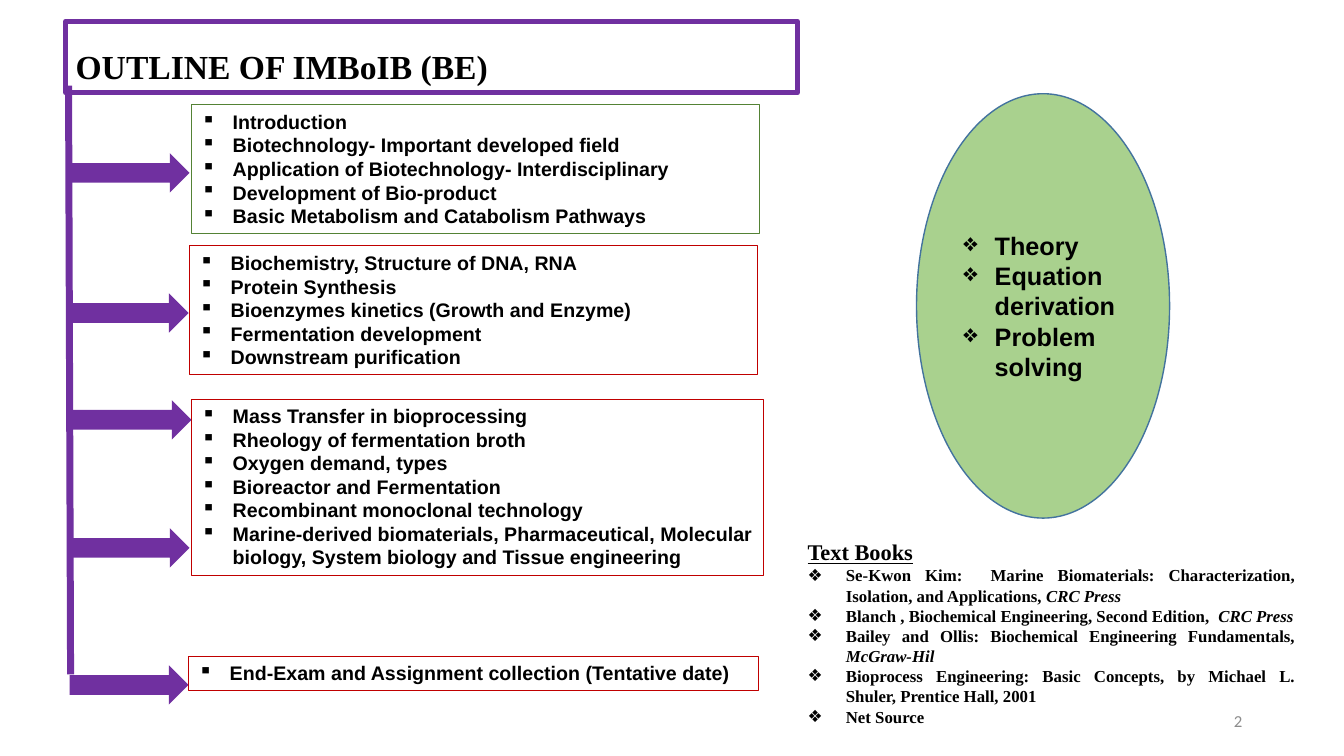
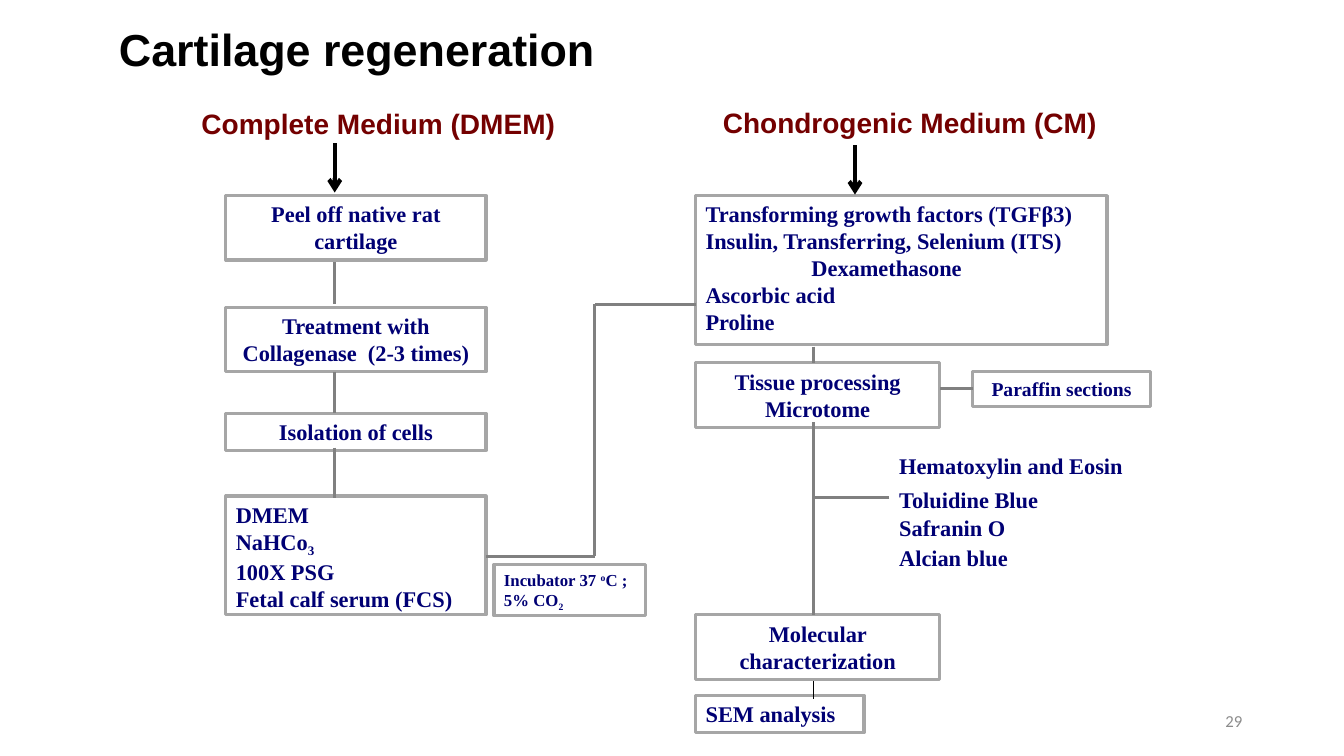
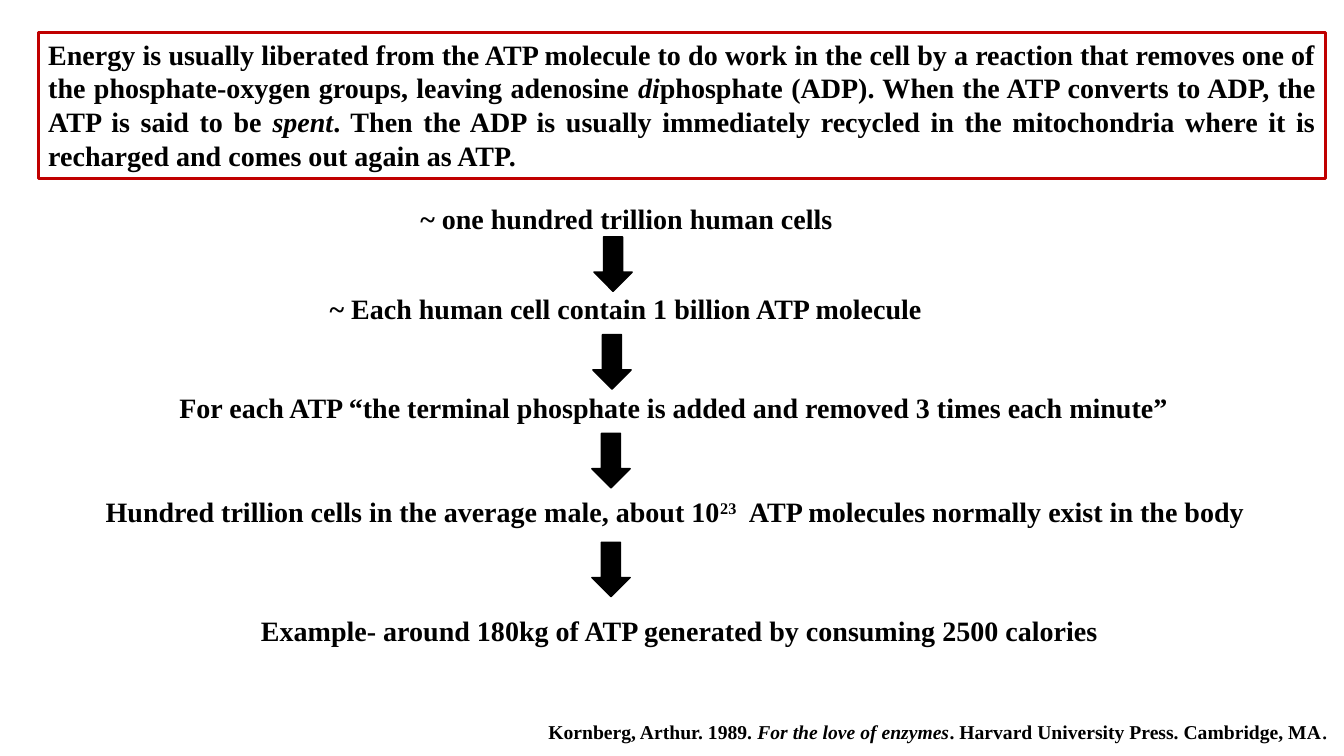
from pptx import Presentation
from pptx.dml.color import RGBColor
from pptx.enum.shapes import MSO_CONNECTOR as Conn, MSO_SHAPE as Shape
from pptx.enum.text import MSO_ANCHOR as Anchor, MSO_AUTO_SIZE as Auto, PP_ALIGN as Align
from pptx.oxml.ns import qn
from pptx.util import Inches, Pt
from lxml.etree import SubElement

# Shared style
SANS, SERIF = "Arial", "Times New Roman"
BLACK, PURPLE, RED, GREEN = "000000", "7030A0", "C00000", "548235"
NAVY, MAROON, SILVER, GRAY, PALE = "000074", "740000", "A6A6A6", "808080", "8C8C8C"
ITALIC, SUPER, SUB = {"italic": True}, {"base": 30}, {"base": -25}

# Outline: top-left, size, border and items of each list
TOPICS = [
    ((1.9, 1.04, 5.63, 1.28), GREEN, [
        "Introduction",
        "Biotechnology- Important developed field",
        "Application of Biotechnology- Interdisciplinary",
        "Development of Bio-product",
        "Basic Metabolism and Catabolism Pathways"]),
    ((1.88, 2.44, 5.63, 1.28), RED, [
        "Biochemistry, Structure of DNA, RNA",
        "Protein Synthesis",
        "Bioenzymes kinetics (Growth and Enzyme)",
        "Fermentation development",
        "Downstream purification"]),
    ((1.9, 3.96, 5.67, 1.75), RED, [
        "Mass Transfer in bioprocessing",
        "Rheology of fermentation broth",
        "Oxygen demand, types",
        "Bioreactor and Fermentation",
        "Recombinant monoclonal technology",
        "Marine-derived biomaterials, Pharmaceutical, Molecular biology, "
        "System biology and Tissue engineering"]),
    ((1.87, 6.51, 5.65, 0.34), RED, [
        "End-Exam and Assignment collection (Tentative date)"]),
]
POINTERS = [(0.7, 1.52), (0.69, 2.91), (0.72, 3.97), (0.7, 5.24), (0.69, 6.6)]
SKILLS = ["Theory", "Equation derivation", "Problem solving"]
BOOKS = [
    ["Se-Kwon Kim:  Marine Biomaterials: Characterization, Isolation, and Applications, ",
     ("CRC Press", ITALIC)],
    ["Blanch , Biochemical Engineering, Second Edition,  ", ("CRC Press", ITALIC)],
    ["Bailey and Ollis: Biochemical Engineering Fundamentals, ", ("McGraw-Hil", ITALIC)],
    "Bioprocess Engineering: Basic Concepts, by Michael L. Shuler, Prentice Hall, 2001",
    "Net Source",
]

# Cartilage: media, process boxes, stains and links
MEDIA = [((1.9, 1.01, 3.83, 0.44), "Complete Medium (DMEM)"),
         ((7.07, 1, 4.01, 0.44), "Chondrogenic Medium (CM)")]
LEFT, RIGHT, WIDE, SLIM = 2.24, 6.9, 2.58, 2.42
CENTRED = [
    ((LEFT, 1.94, WIDE, 0.64), "Peel off native rat cartilage", 16),
    ((LEFT, 3.05, WIDE, 0.64), "Treatment with Collagenase  (2-3 times)", 16),
    ((LEFT, 4.1, WIDE, 0.37), "Isolation of cells", 16),
    ((RIGHT, 3.6, SLIM, 0.64), "Tissue processing Microtome", 16),
    ((9.65, 3.69, 1.76, 0.34), "Paraffin sections", 14),
    ((RIGHT, 6.1, SLIM, 0.64), "Molecular characterization", 16),
]
RECIPES = [
    ((LEFT, 4.92, WIDE, 1.18), 16,
     ["DMEM", ["NaHCo", ("3", SUB)], "100X PSG", "Fetal calf serum (FCS)"]),
    ((4.9, 5.6, 1.5, 0.51), 12,
     [["Incubator 37 ", ("o", SUPER), "C ; 5% CO", ("2", SUB)]]),
    ((RIGHT, 6.9, 1.67, 0.37), 16, ["SEM analysis"]),
]
FACTORS = ["Transforming growth factors (TGFβ3)", "Insulin, Transferring, Selenium (ITS)",
           "Dexamethasone", "Ascorbic acid", "Proline"]
STAINS = [("Hematoxylin and Eosin", 4.44), ("Toluidine Blue", 4.77),
          ("Safranin O", 5.05), ("Alcian blue", 5.35)]
DOWN, SPINE, BEND = 3.32, 8.07, 5.9
LINKS = [
    (DOWN, 2.6, DOWN, 3.02), (DOWN, 3.69, DOWN, 4.1), (DOWN, 4.44, DOWN, 4.94),
    (4.82, 5.52, BEND, 5.52), (BEND, 3.02, BEND, 5.52), (RIGHT, 3.02, BEND, 3.02),
    (SPINE, 3.44, SPINE, 3.6), (SPINE, 4.19, SPINE, 6.1),
    (9.65, 3.85, 9.32, 3.85), (8.82, 4.94, SPINE, 4.94),
]
ENTRIES = [(DOWN, 1.42, DOWN, 1.91), (8.48, 1.44, 8.48, 1.93)]

# Energy: summary, chain of facts and citation
ENERGY = [
    "Energy is usually liberated from the ATP molecule to do work in the cell by a reaction "
    "that removes one of the phosphate-oxygen groups, leaving adenosine ",
    ("di", ITALIC),
    "phosphate (ADP). When the ATP converts to ADP, the ATP is said to be ",
    ("spent", ITALIC),
    ". Then the ADP is usually immediately recycled in the mitochondria where it is "
    "recharged and comes out again as ATP."]
FACTS = [
    ((4.07, 1.95, 4.39, 0.44), "~ one hundred trillion human cells"),
    ((3.17, 2.84, 6.19, 0.44), "~ Each human cell contain 1 billion ATP molecule"),
    ((1.68, 3.83, 10.17, 0.44),
     "For each ATP “the terminal phosphate is added and removed 3 times each minute”"),
    ((0.95, 4.86, 11.63, 0.44),
     ["Hundred trillion cells in the average male, about 10", ("23", SUPER),
      "  ATP molecules normally exist in the body"]),
    ((2.49, 6.04, 8.56, 0.44),
     "Example- around 180kg of ATP generated by consuming 2500 calories"),
]
STEPS = [(5.89, 2.35), (5.88, 3.32), (5.87, 4.3), (5.87, 5.38)]
CITE = ["Kornberg, Arthur. 1989. ", ("For the love of enzymes", ITALIC),
        ". Harvard University Press. Cambridge, MA", (".", {"size": 18, "bold": False})]


def rgb(code):
    return RGBColor.from_string(code)


def indent(par, left, hang=0, mark=None):
    props = par._p.get_or_add_pPr()
    props.set("marL", str(Inches(left)))
    props.set("indent", str(-Inches(hang)))
    if mark:
        SubElement(props, qn("a:buChar")).set("char", mark)
    else:
        SubElement(props, qn("a:buNone"))


def style(run, font=SERIF, size=16, color=BLACK, bold=True, italic=False,
          under=False, base=0):
    face = run.font
    face.name, face.size, face.bold, face.italic = font, Pt(size), bold, italic
    face.color.rgb = rgb(color)
    if under:
        face.underline = True
    if base:
        run._r.get_or_add_rPr().set("baseline", str(base * 1000))


def write(shape, pars, align=Align.LEFT, anchor=Anchor.TOP, mark=None, hang=0.31,
          space=1, **look):
    """Fill a shape with paragraphs; each is a string or a list of runs."""
    frame = shape.text_frame
    frame.word_wrap, frame.auto_size = True, Auto.NONE
    frame.vertical_anchor = anchor
    for i, text in enumerate(pars):
        par = frame.paragraphs[0] if i == 0 else frame.add_paragraph()
        par.alignment, par.line_spacing, par.space_before = align, space, Pt(0)
        indent(par, hang if mark else 0, hang if mark else 0, mark)
        for part in [text] if isinstance(text, str) else text:
            words, extra = (part, {}) if isinstance(part, str) else part
            run = par.add_run()
            run.text = words
            style(run, **{**look, **extra})
    return frame.paragraphs


def place(shape, at):
    shape.left, shape.top, shape.width, shape.height = map(Inches, at)
    return shape


def edge(shape, color, width):
    shape.line.color.rgb = rgb(color)
    shape.line.width = Pt(width)


def draw(slide, kind, at, fill=None, line=None, width=1):
    shape = slide.shapes.add_shape(kind, *map(Inches, at))
    shape.shadow.inherit = False
    if fill:
        shape.fill.solid()
        shape.fill.fore_color.rgb = rgb(fill)
    else:
        shape.fill.background()
    if line:
        edge(shape, line, width)
    else:
        shape.line.fill.background()
    return shape


def panel(slide, at, pars, line, width, **look):
    return write(draw(slide, Shape.RECTANGLE, at, None, line, width), pars, **look)


def label(slide, at, text, **look):
    write(slide.shapes.add_textbox(*map(Inches, at)), [text], **look)


def link(slide, ends, color=GRAY, width=2.25, head=False):
    line = slide.shapes.add_connector(Conn.STRAIGHT, *map(Inches, ends))
    edge(line, color, width)
    if head:
        SubElement(line.line._get_or_add_ln(), qn("a:tailEnd")).set("type", "arrow")
    SubElement(line._element.spPr, qn("a:effectLst"))


def title(slide, at, text, **look):
    shape = place(slide.shapes.title, at)
    write(shape, [text], **look)
    return shape


def number(slide, text):
    label(slide, (9.42, 6.95, 3, 0.4), text, font="Calibri", size=12, color=PALE,
          bold=False, align=Align.RIGHT, anchor=Anchor.MIDDLE)


def outline(deck):
    slide = deck.slides.add_slide(deck.slide_layouts[1])
    head = title(slide, (0.65, 0.21, 7.26, 0.71), "OUTLINE OF IMBoIB (BE)",
                 size=24, space=1.5)
    edge(head, PURPLE, 3.5)
    link(slide, (0.68, 0.85, 0.7, 6.69), PURPLE, 5)
    for x, y in POINTERS:
        draw(slide, Shape.RIGHT_ARROW, (x, y, 1.18, 0.39), PURPLE)
    for at, color, items in TOPICS:
        panel(slide, at, items, color, 0.75, mark="▪", font=SANS, size=14)
    oval = draw(slide, Shape.OVAL, (9.09, 0.93, 2.51, 4.21), "A9D18E", "43739E")
    write(oval, SKILLS, mark="❖", font=SANS, size=18, align=Align.JUSTIFY,
          anchor=Anchor.MIDDLE)
    # Reading list with an unmarked heading
    body = place(slide.placeholders[1], (7.91, 5.29, 5.04, 1.99))
    heading = [("Text Books", {"size": 16, "under": True})]
    pars = write(body, [heading] + BOOKS, size=12, align=Align.JUSTIFY)
    for par in pars[1:]:
        props = par._p.get_or_add_pPr()
        props.remove(props.find(qn("a:buNone")))
        indent(par, 0.38, 0.38, "❖")
    number(slide, "2")


def cartilage(deck):
    slide = deck.slides.add_slide(deck.slide_layouts[5])
    title(slide, (1.08, 0.17, 8, 0.64), "Cartilage regeneration", font=SANS, size=32)
    for at, text in MEDIA:
        label(slide, at, text, font=SANS, size=20, color=MAROON)
    for at, text, size in CENTRED:
        panel(slide, at, [text], SILVER, 2.25, size=size, color=NAVY, align=Align.CENTER)
    for at, size, pars in RECIPES:
        panel(slide, at, pars, SILVER, 2.25, size=size, color=NAVY)
    pars = panel(slide, (RIGHT, 1.94, 4.08, 1.48), FACTORS, SILVER, 2.25, color=NAVY)
    pars[2]._p.get_or_add_pPr().set("marL", str(Inches(1.05)))
    for text, y in STAINS:
        label(slide, (8.82, y, WIDE, 0.37), text, color=NAVY)
    for ends in LINKS:
        link(slide, ends)
    for ends in ENTRIES:
        link(slide, ends, BLACK, 3, head=True)
    link(slide, (SPINE, 6.76, SPINE, 6.93), BLACK, 0.5)
    number(slide, "29")


def energy(deck):
    slide = deck.slides.add_slide(deck.slide_layouts[6])
    panel(slide, (0.38, 0.32, 12.77, 1.45), [ENERGY], RED, 2, size=20,
          align=Align.JUSTIFY)
    for at, text in FACTS:
        label(slide, at, text, size=20)
    for x, y in STEPS:
        draw(slide, Shape.DOWN_ARROW, (x, y, 0.38, 0.54), BLACK, BLACK)
    label(slide, (5.34, 7.04, 7.98, 0.4), CITE, size=14)


def main():
    deck = Presentation()
    deck.slide_width, deck.slide_height = Inches(13.33), Inches(7.5)
    for build in (outline, cartilage, energy):
        build(deck)
    deck.save("out.pptx")


if __name__ == "__main__":
    main()
